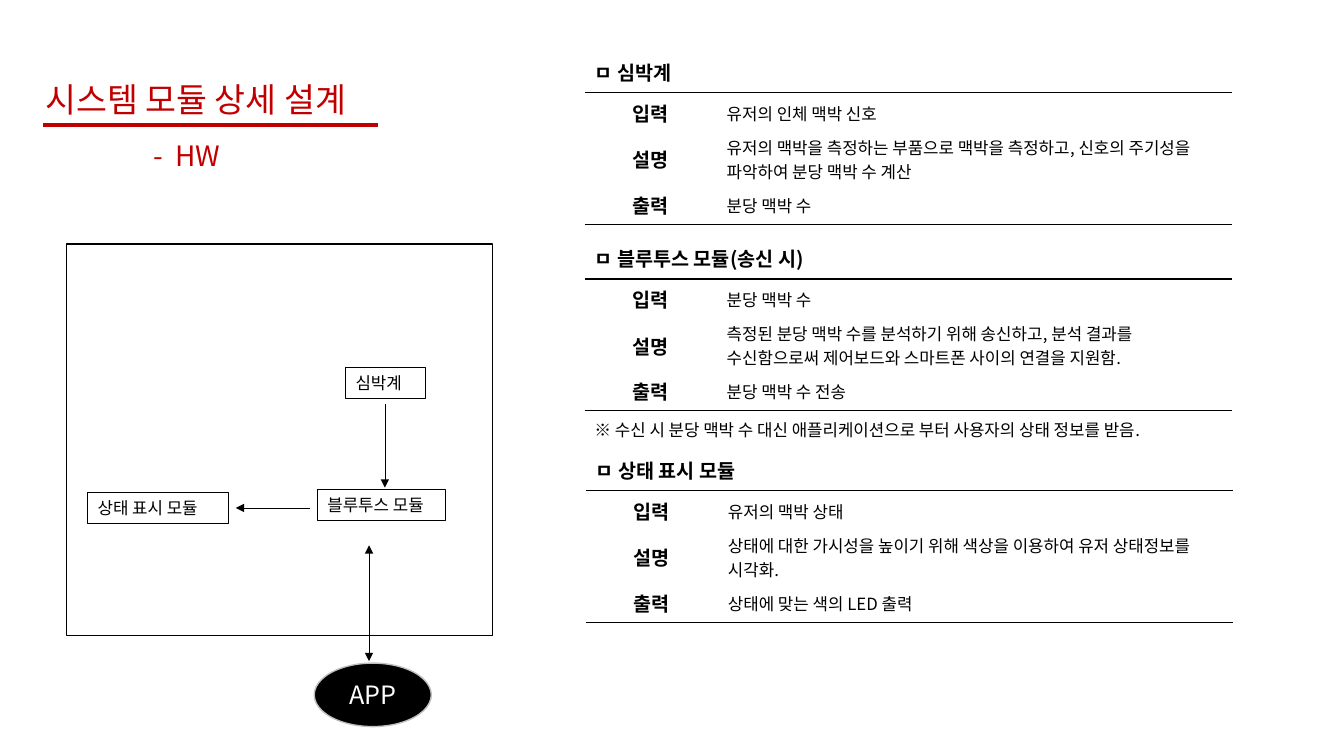
from lxml import etree
from pptx import Presentation
from pptx.dml.color import RGBColor
from pptx.enum.shapes import MSO_CONNECTOR, MSO_SHAPE
from pptx.enum.text import MSO_ANCHOR, MSO_AUTO_SIZE, PP_ALIGN
from pptx.oxml.ns import qn
from pptx.util import Cm, Pt

STRAIGHT = MSO_CONNECTOR.STRAIGHT
RECTANGLE, OVAL = MSO_SHAPE.RECTANGLE, MSO_SHAPE.OVAL
TOP, MIDDLE = MSO_ANCHOR.TOP, MSO_ANCHOR.MIDDLE
LEFT, CENTER = PP_ALIGN.LEFT, PP_ALIGN.CENTER
NO_AUTOFIT = MSO_AUTO_SIZE.NONE

FONT = "Noto Sans CJK KR"
RED, BLACK, WHITE, GRAY = "C00000", "000000", "FFFFFF", "BFBFBF"
ROW_LABELS = ["입력", "설명", "출력"]
ROW_HEIGHTS = [1.04, 1.02, 1.31, 0.98]
COLUMN_WIDTHS = [3.33, 12.98]

MODULES = [
    (14.73, 1.3, "ㅁ 심박계", [
        "유저의 인체 맥박 신호",
        "유저의 맥박을 측정하는 부품으로 맥박을 측정하고, 신호의 주기성을 파악하여 분당 맥박 수 계산",
        "분당 맥박 수"]),
    (14.73, 5.99, "ㅁ 블루투스 모듈(송신 시)", [
        "분당 맥박 수",
        "측정된 분당 맥박 수를 분석하기 위해 송신하고, 분석 결과를 수신함으로써 제어보드와 스마트폰 사이의 연결을 지원함.",
        "분당 맥박 수 전송"]),
    (14.76, 11.33, "ㅁ 상태 표시 모듈", [
        "유저의 맥박 상태",
        "상태에 대한 가시성을 높이기 위해 색상을 이용하여 유저 상태정보를 시각화.",
        "상태에 맞는 색의 LED 출력"]),
]
PARTS = [
    (8.71, 9.27, 2.01, "심박계"),
    (8, 12.34, 3.23, "블루투스 모듈"),
    (2.21, 12.42, 3.56, "상태 표시 모듈"),
]


def rgb(value):
    """Turn a hex string into a colour."""
    return RGBColor.from_string(value)


def write(frame, text, size, color=BLACK, bold=False, align=LEFT):
    """Put one formatted run into a text frame."""
    paragraph = frame.paragraphs[0]
    paragraph.alignment = align
    paragraph.space_before = Pt(0)
    run = paragraph.add_run()
    run.text = text
    font = run.font
    font.name, font.size, font.bold = FONT, Pt(size), bold
    font.color.rgb = rgb(color)
    east_asian = etree.SubElement(run._r.get_or_add_rPr(), qn("a:ea"))
    east_asian.set("typeface", FONT)


def fill_heading(heading, box, text, size, wrap):
    """Move a placeholder and write its red text."""
    heading.left, heading.top, heading.width, heading.height = map(Cm, box)
    frame = heading.text_frame
    frame.auto_size = NO_AUTOFIT
    frame.word_wrap = wrap
    frame.vertical_anchor = TOP
    write(frame, text, size, RED)


def add_line(slide, start, end, color, width, ends=()):
    """Draw a straight line with triangles at the given ends."""
    line = slide.shapes.add_connector(STRAIGHT, *map(Cm, start + end))
    line.line.color.rgb = rgb(color)
    line.line.width = Pt(width)
    for end_tag in ends:
        arrowhead = etree.SubElement(line.line._get_or_add_ln(), qn(end_tag))
        arrowhead.set("type", "triangle")
    etree.SubElement(line._element.spPr, qn("a:effectLst"))


def add_outline(slide, kind, box, color, width, fill=None):
    """Draw an outlined shape, filled if a colour is given."""
    shape = slide.shapes.add_shape(kind, *map(Cm, box))
    shape.shadow.inherit = False
    shape.line.color.rgb = rgb(color)
    shape.line.width = Pt(width)
    if fill:
        shape.fill.solid()
        shape.fill.fore_color.rgb = rgb(fill)
    else:
        shape.fill.background()
    return shape


def add_part(slide, left, top, width, name):
    """Draw a labelled hardware part."""
    part = add_outline(slide, RECTANGLE, (left, top, width, 0.77), BLACK, 0.75)
    part.text_frame.vertical_anchor = TOP
    write(part.text_frame, name, 12)


def set_borders(cell, ruled):
    """Rule the named sides of a cell and clear the others."""
    properties = cell._tc.get_or_add_tcPr()
    for position, side in enumerate(["a:lnL", "a:lnR", "a:lnT", "a:lnB"]):
        border = etree.Element(qn(side), w=str(Pt(1)))
        if side in ruled:
            paint = etree.SubElement(border, qn("a:solidFill"))
            etree.SubElement(paint, qn("a:srgbClr"), val=BLACK)
        else:
            etree.SubElement(border, qn("a:noFill"))
        properties.insert(position, border)


def fill_cell(cell, text, size, bold, align, ruled):
    """Format a table cell and write its text."""
    cell.fill.solid()
    cell.fill.fore_color.rgb = rgb(WHITE)
    cell.vertical_anchor = MIDDLE
    cell.margin_top = cell.margin_bottom = Cm(0)
    set_borders(cell, ruled)
    if text:
        write(cell.text_frame, text, size, bold=bold, align=align)


def add_module_table(slide, left, top, heading, details):
    """Build the input, description and output table of a module."""
    box = map(Cm, (left, top, sum(COLUMN_WIDTHS), sum(ROW_HEIGHTS)))
    table = slide.shapes.add_table(len(ROW_HEIGHTS), len(COLUMN_WIDTHS), *box).table
    for column, width in zip(table.columns, COLUMN_WIDTHS):
        column.width = Cm(width)
    for row, height in zip(table.rows, ROW_HEIGHTS):
        row.height = Cm(height)
    table.cell(0, 0).merge(table.cell(0, 1))
    rows = [(heading, "")] + list(zip(ROW_LABELS, details))
    rules = [["a:lnB"], ["a:lnT"], [], ["a:lnB"]]
    for index, ((label, detail), ruled) in enumerate(zip(rows, rules)):
        align = CENTER if index else LEFT
        fill_cell(table.cell(index, 0), label, 14, True, align, ruled)
        fill_cell(table.cell(index, 1), detail, 12, False, LEFT, ruled)


def add_diagram(slide):
    """Draw the hardware parts, their links and the app."""
    add_outline(slide, RECTANGLE, (1.68, 6.15, 10.74, 9.86), BLACK, 1)
    for part in PARTS:
        add_part(slide, *part)
    add_line(slide, (7.82, 12.8), (5.94, 12.8), BLACK, 0.5, ["a:tailEnd"])
    add_line(slide, (9.7, 10.19), (9.7, 12.29), BLACK, 0.5, ["a:tailEnd"])
    add_line(slide, (9.3, 13.74), (9.3, 16.66), BLACK, 0.5, ["a:headEnd", "a:tailEnd"])
    app = add_outline(slide, OVAL, (7.92, 16.71, 2.95, 1.6), GRAY, 1, BLACK)
    app.text_frame.vertical_anchor = MIDDLE
    write(app.text_frame, "APP", 18, WHITE, align=CENTER)


def main():
    """Build and save the slide."""
    deck = Presentation()
    deck.slide_width, deck.slide_height = Cm(33.87), Cm(19.05)
    slide = deck.slides.add_slide(deck.slide_layouts[0])
    title, subtitle = slide.placeholders
    add_line(slide, (1.09, 3.15), (9.53, 3.15), RED, 2.25)
    fill_heading(title, (0.89, 1.85, 9.12, 1.27), "시스템 모듈 상세 설계", 24, False)
    fill_heading(subtitle, (3.61, 3.35, 15.95, 1.12), "-  HW", 20, True)
    add_diagram(slide)
    note = slide.shapes.add_textbox(*map(Cm, (14.73, 10.44, 16.03, 0.77)))
    note.text_frame.word_wrap = False
    write(note.text_frame, "※ 수신 시 분당 맥박 수 대신 애플리케이션으로 부터 사용자의 상태 정보를 받음.", 12)
    for module in MODULES:
        add_module_table(slide, *module)
    deck.save("out.pptx")


if __name__ == "__main__":
    main()
